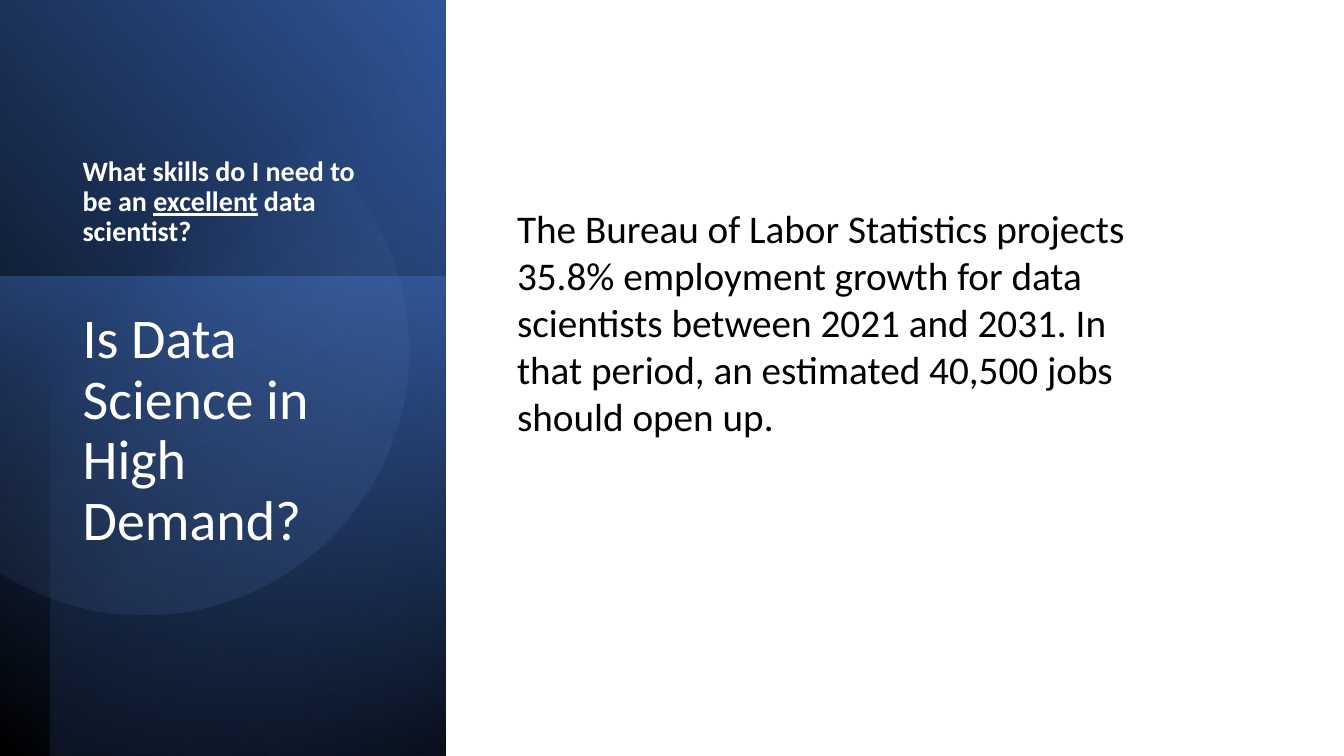
import math
from pptx import Presentation, oxml, util as u
from pptx.dml.color import RGBColor
from pptx.enum import shapes, text
from pptx.oxml import ns

WIDE, HIGH = 13.33, 7.5
PANEL = 4.42
MARGIN = 0.72
WHITE, BLACK = "FFFFFF", "000000"
QUESTION = [("What skills do I need to be an ", False), ("excellent", True), (" data scientist?", False)]
PROJECTION = (
    "The Bureau of Labor Statistics projects 35.8% employment growth for data scientists "
    "between 2021 and 2031. In that period, an estimated 40,500 jobs should open up."
)


def rgb(code):
    return RGBColor.from_string(code)


def set_all(target, **values):
    for name, value in values.items():
        setattr(target, name, value)


def place(shape, box):
    names = ("left", "top", "width", "height")
    set_all(shape, **{name: u.Inches(length) for name, length in zip(names, box)})


def paint_gradient(shape, stops, angle):
    shape.shadow.inherit = False
    shape.line.fill.background()
    shape.fill.background()
    marks = "".join(
        f'<a:gs pos="{at * 1000}"><a:srgbClr val="{code}"><a:alpha val="{alpha * 1000}"/></a:srgbClr></a:gs>'
        for at, code, alpha in stops
    )
    gradient = oxml.parse_xml(
        f'<a:gradFill {ns.nsdecls("a")} rotWithShape="1"><a:gsLst>{marks}</a:gsLst>'
        f'<a:lin ang="{angle * 60000}" scaled="0"/></a:gradFill>'
    )
    properties = shape.element.spPr
    properties.replace(properties.find(ns.qn("a:noFill")), gradient)


def add_turned_panel(page, box, rotation, flipped, stops, angle):
    left, top, width, height = box
    panel = page.shapes.add_shape(shapes.MSO_SHAPE.RECTANGLE, 0, 0, 0, 0)
    place(panel, (left + (width - height) / 2, top + (height - width) / 2, height, width))
    panel.rotation = rotation
    if flipped:
        panel.element.spPr.get_or_add_xfrm().set("flipH", "1")
    paint_gradient(panel, stops, angle)


def add_cut_circle(page, box, rotation, radius, cut, stops, angle):
    chord = 180 - rotation
    half = math.degrees(math.acos(cut / radius))
    steps = 120
    sweep = 360 - 2 * half
    degrees = [chord + half + sweep * step / steps for step in range(steps + 1)]
    points = [
        (u.Inches(radius * math.cos(math.radians(d))), u.Inches(radius * math.sin(math.radians(d))))
        for d in degrees
    ]
    builder = page.shapes.build_freeform(*points[0])
    builder.add_line_segments(points[1:], close=True)
    circle = builder.convert_to_shape()
    place(circle, box)
    circle.rotation = rotation
    paint_gradient(circle, stops, angle)


def write(shape, box, spans, size, bold=False, anchor=text.MSO_ANCHOR.TOP,
          fit=text.MSO_AUTO_SIZE.NONE, color=WHITE, **spacing):
    place(shape, box)
    frame = shape.text_frame
    set_all(frame, word_wrap=True, auto_size=fit, vertical_anchor=anchor)
    para = frame.paragraphs[0]
    set_all(para, alignment=text.PP_ALIGN.LEFT, **spacing)
    for words, underline in spans:
        span = para.add_run()
        span.text = words
        set_all(span.font, name="Calibri", size=u.Pt(size), bold=bold, underline=underline)
        span.font.color.rgb = rgb(color)


def add_backdrop(page, box):
    left, top, width, height = box
    lower = 4.76
    inset = 0.5
    add_turned_panel(page, box, 90, True, [(0, BLACK, 100), (100, "2F5597", 100)], 310)
    add_turned_panel(page, (left, top + height - lower, width, lower), 270, False,
                     [(0, "4472C4", 50), (100, "203864", 0)], 190)
    add_turned_panel(page, (left + inset, top, width - inset, height), 270, True,
                     [(0, BLACK, 59), (69, "4472C4", 0)], 220)
    add_cut_circle(page, (left - 0.82, top + 1.31, 5.26, 4.47), 101.6, 2.63, 1.43,
                   [(39, "8FAADC", 0), (100, "2F5597", 26)], 310)


def add_headings(page, box):
    left, top, width, height = box
    write(page.shapes.title, (left, top + 2.15, width, 3.36),
          [("Is Data Science in High Demand?", False)], 40, line_spacing=0.9)
    write(page.shapes.add_textbox(0, 0, 0, 0), (left, top, width + 0.04, 1.63), QUESTION, 20,
          bold=True, anchor=text.MSO_ANCHOR.BOTTOM, line_spacing=0.9, space_before=u.Pt(10))


def add_projection(page, box):
    write(page.shapes.add_textbox(0, 0, 0, 0), box, [(PROJECTION, False)], 28, color=BLACK,
          fit=text.MSO_AUTO_SIZE.SHAPE_TO_FIT_TEXT, space_after=u.Pt(6))


def main():
    deck = Presentation()
    set_all(deck, slide_width=u.Inches(WIDE), slide_height=u.Inches(HIGH))
    page = deck.slides.add_slide(deck.slide_layouts.get_by_name("Title Only"))
    page.background.fill.solid()
    page.background.fill.fore_color.rgb = rgb(WHITE)
    add_backdrop(page, (0, 0, PANEL, HIGH))
    title = page.shapes.title.element
    title.getparent().append(title)
    add_headings(page, (MARGIN, 0.88, 3.15, 5.51))
    add_projection(page, (5.03, 1.98, WIDE / 2, 2.46))
    deck.save("out.pptx")


if __name__ == "__main__":
    main()
